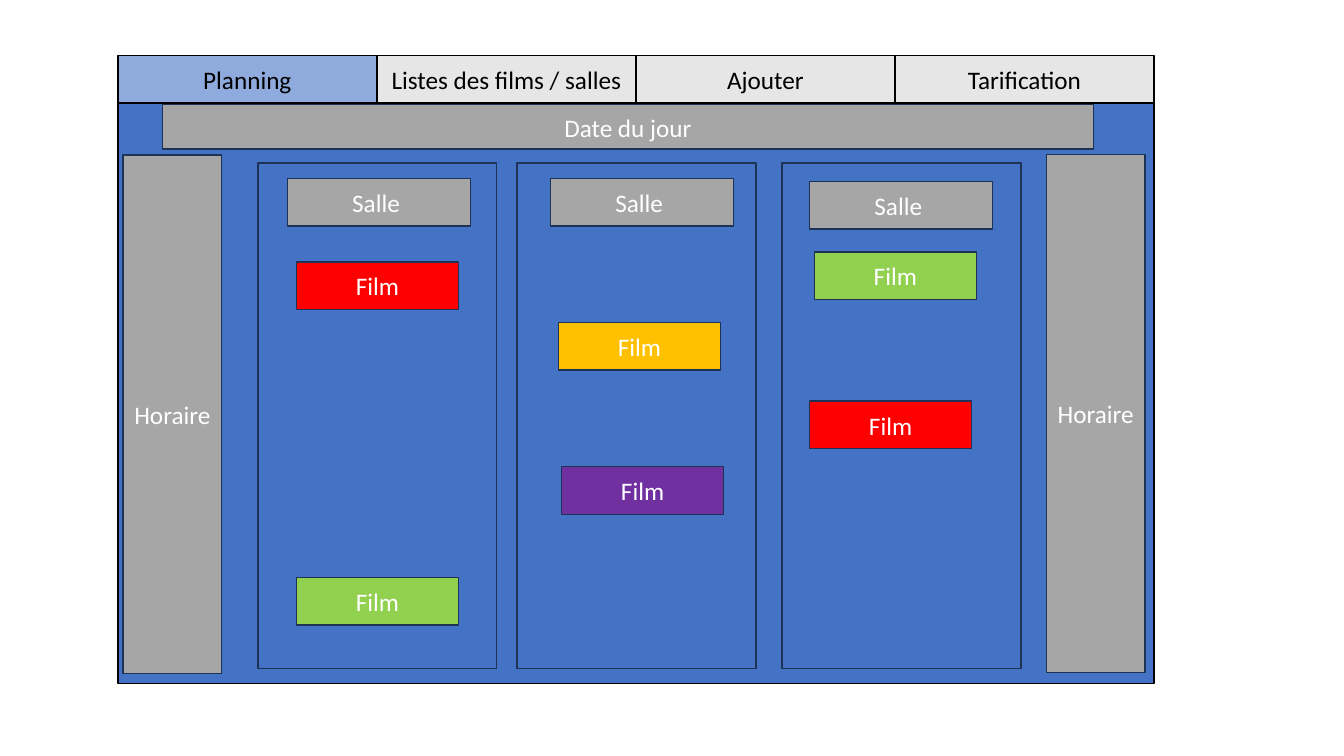
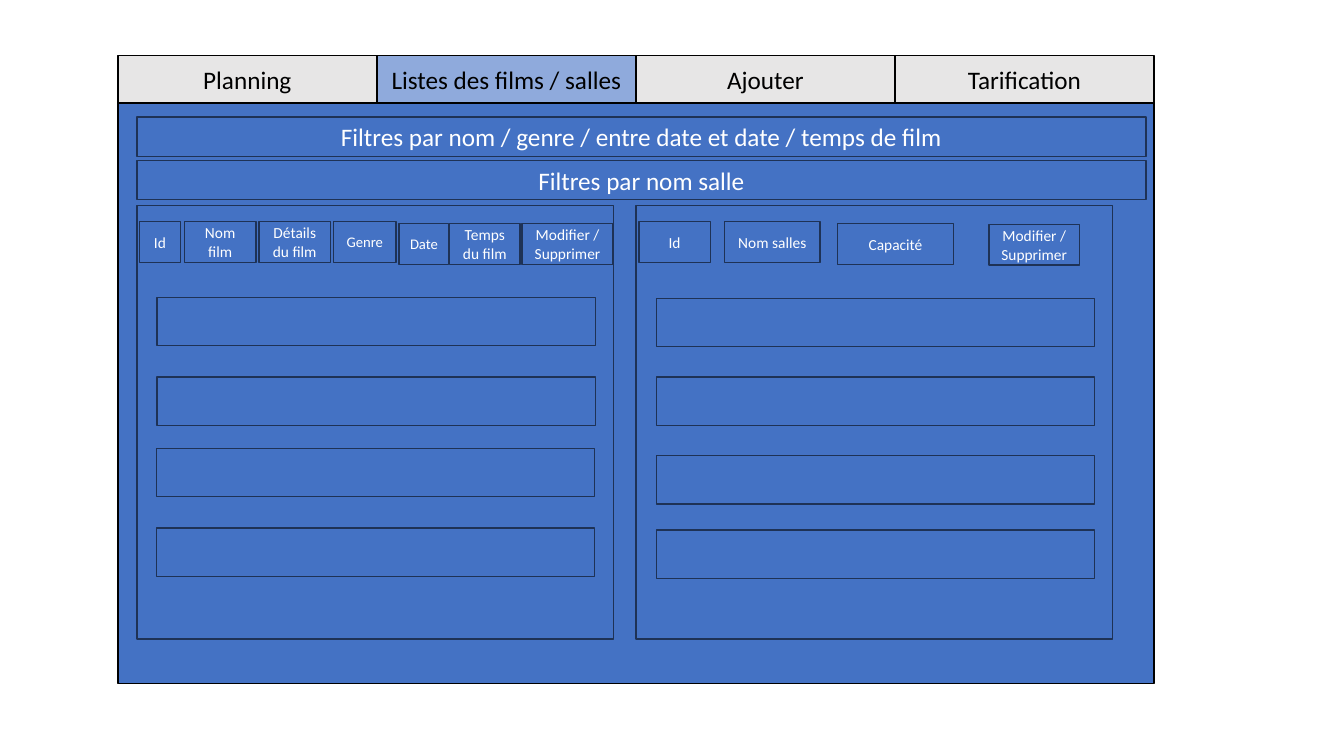
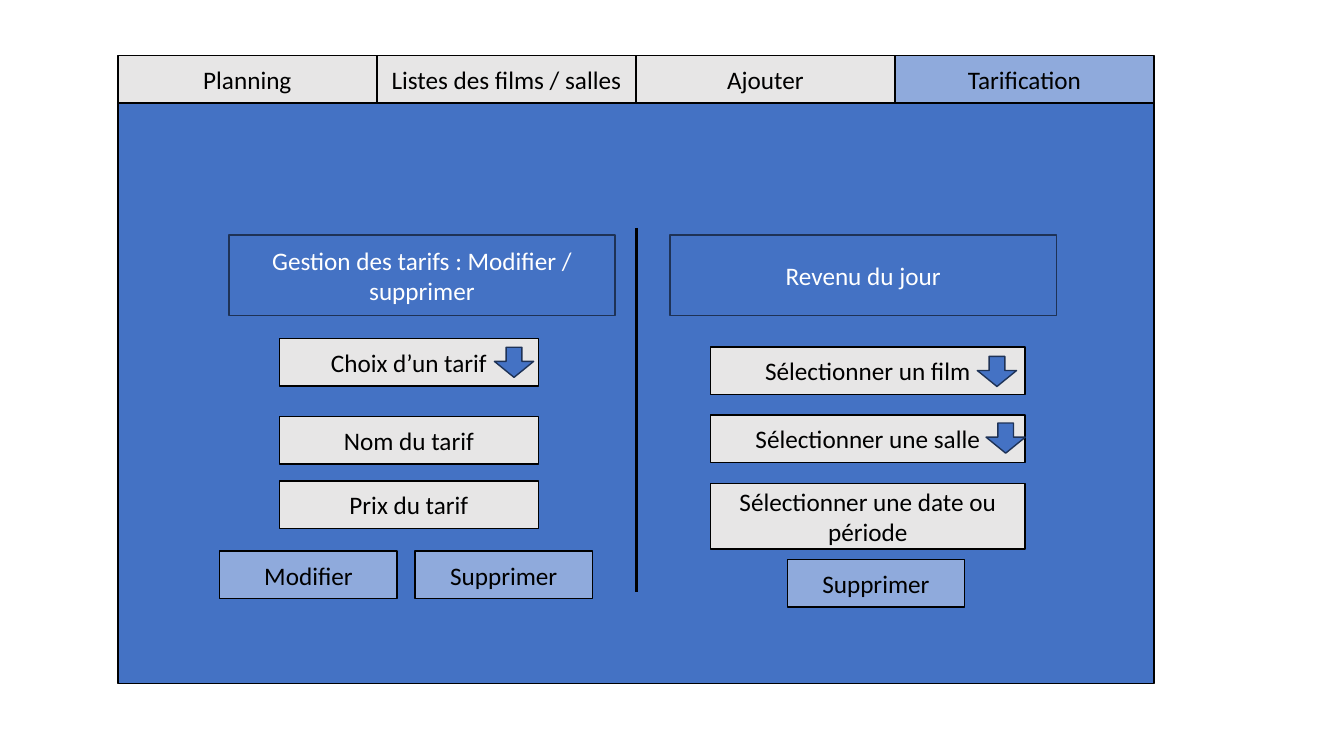
import pptx
import pptx.dml.color
import pptx.enum.shapes
import pptx.enum.text
import pptx.oxml.ns
import pptx.util
from lxml import etree
from pptx.util import Cm

COLOURS = {
    "blue": "4472C4", "light blue": "8FAADC", "navy": "1E3256",
    "pale": "E7E6E6", "grey": "A6A6A6", "black": "000000", "white": "FFFFFF",
    "red": "FF0000", "green": "92D050", "amber": "FFC000", "purple": "7030A0",
}
TABS = ["Planning", "Listes des films / salles", "Ajouter", "Tarification"]
FRAME_LEFT, FRAME_TOP, FRAME_WIDTH, FRAME_HEIGHT = 2.97, 2.6, 26.11, 14.63
TAB_TOP, BAR_HEIGHT = 1.4, 1.2
RECTANGLE = pptx.enum.shapes.MSO_SHAPE.RECTANGLE
DOWN_ARROW = pptx.enum.shapes.MSO_SHAPE.DOWN_ARROW


def colour(name):
    return pptx.dml.color.RGBColor.from_string(COLOURS[name])


def add_box(slide, left, top, width, height, text="", fill="blue", line="navy",
            size=18, kind=RECTANGLE):
    """Black-edged boxes carry black text, navy-edged ones white text."""
    shape = slide.shapes.add_shape(kind, Cm(left), Cm(top), Cm(width), Cm(height))
    shape.shadow.inherit = False
    shape.fill.solid()
    shape.fill.fore_color.rgb = colour(fill)
    shape.line.color.rgb = colour(line)
    shape.line.width = pptx.util.Pt(1)
    if text:
        frame = shape.text_frame
        frame.word_wrap = True
        frame.vertical_anchor = pptx.enum.text.MSO_ANCHOR.MIDDLE
        paragraph = frame.paragraphs[0]
        paragraph.text = text
        paragraph.alignment = pptx.enum.text.PP_ALIGN.CENTER
        paragraph.font.name = "Calibri"
        paragraph.font.size = pptx.util.Pt(size)
        paragraph.font.color.rgb = colour("black" if line == "black" else "white")
    return shape


presentation = pptx.Presentation()
presentation.slide_width = Cm(33.87)
presentation.slide_height = Cm(19.05)

# Shared window: frame and tabs, with the current tab highlighted
slides = {}
for current in ["Planning", "Listes des films / salles", "Tarification"]:
    slide = presentation.slides.add_slide(presentation.slide_layouts[6])
    slides[current] = slide
    add_box(slide, FRAME_LEFT, FRAME_TOP, FRAME_WIDTH, FRAME_HEIGHT, line="black")
    tab_width = FRAME_WIDTH / len(TABS)
    for index, tab in enumerate(TABS):
        add_box(slide, FRAME_LEFT + index * tab_width, TAB_TOP, tab_width, BAR_HEIGHT,
                tab, "light blue" if tab == current else "pale", "black")

# Planning: time columns and date bar
slide = slides["Planning"]
for left, top in [(3.1, 3.91), (26.37, 3.89)]:
    add_box(slide, left, top, 2.49, 13.06, "Horaire", "grey")
add_box(slide, 4.09, 2.64, 23.47, 1.12, "Date du jour", "grey")

# Planning: one column per room, then its films
for left in [6.5, 13.03, 19.71]:
    add_box(slide, left, 4.11, 6.02, 12.73)
for left, top in [(7.24, 4.5), (13.87, 4.5), (20.4, 4.57)]:
    add_box(slide, left, top, 4.62, BAR_HEIGHT, "Salle ", "grey")
films = [
    (7.47, 6.6, "red"), (7.47, 14.55, "green"),
    (14.07, 8.13, "amber"), (14.15, 11.76, "purple"),
    (20.4, 10.11, "red"), (20.52, 6.35, "green"),
]
for left, top, fill in films:
    add_box(slide, left, top, 4.09, BAR_HEIGHT, "Film", fill)

# Lists: filters and the two panels
slide = slides["Listes des films / salles"]
filters = ["Filtres par nom / genre / entre date et date / temps de film",
           "Filtres par nom salle"]
for index, text in enumerate(filters):
    add_box(slide, 3.45, 2.95 + index * 1.09, 25.43, 0.99, text)
for left in [3.45, 16.03]:
    add_box(slide, left, 5.18, 12.01, 10.92)

# Lists: column headings of films, then of rooms
headings = [
    ("Id", 3.51, 5.59, 1.04, 11),
    ("Nom film", 4.65, 5.59, 1.8, 11),
    ("Détails du film", 6.53, 5.59, 1.8, 11),
    ("Genre", 8.41, 5.59, 1.57, 10.5),
    ("Date", 10.06, 5.64, 1.25, 10.5),
    ("Temps du film", 11.33, 5.64, 1.78, 11),
    ("Modifier / Supprimer", 13.16, 5.64, 2.29, 11),
    ("Id", 16.1, 5.59, 1.8, 11),
    ("Nom salles", 18.26, 5.59, 2.41, 11),
    ("Capacité", 21.11, 5.64, 2.92, 11),
    ("Modifier / Supprimer", 24.92, 5.66, 2.29, 11),
]
for text, left, top, width, size in headings:
    add_box(slide, left, top, width, 1.02, text, size=size)

# Lists: empty rows
rows = [
    (3.96, 7.49), (3.96, 9.5), (3.94, 11.3), (3.94, 13.31),
    (16.54, 7.52), (16.54, 9.5), (16.54, 11.48), (16.54, 13.36),
]
for left, top in rows:
    add_box(slide, left, top, 11.05, 1.22)

# Pricing: headings and divider
slide = slides["Tarification"]
for left, text in [(5.77, "Gestion des tarifs : Modifier / supprimer"),
                   (16.89, "Revenu du jour")]:
    add_box(slide, left, 5.92, 9.73, 2.03, text)
divider = slide.shapes.add_connector(
    pptx.enum.shapes.MSO_CONNECTOR.STRAIGHT, Cm(16.05), Cm(5.74), Cm(16.05), Cm(14.91))
divider.line.color.rgb = colour("black")
divider.line.width = pptx.util.Pt(2.25)
etree.SubElement(divider._element.spPr, pptx.oxml.ns.qn("a:effectLst"))

# Pricing: fields and buttons
controls = [
    ("Choix d’un tarif", 7.04, 8.53, 6.53, BAR_HEIGHT, "pale"),
    ("Nom du tarif", 7.04, 10.49, 6.53, BAR_HEIGHT, "pale"),
    ("Prix du tarif", 7.04, 12.12, 6.53, BAR_HEIGHT, "pale"),
    ("Modifier", 5.54, 13.89, 4.47, BAR_HEIGHT, "light blue"),
    ("Supprimer", 10.46, 13.89, 4.47, BAR_HEIGHT, "light blue"),
    ("Sélectionner un film", 17.91, 8.74, 7.92, BAR_HEIGHT, "pale"),
    ("Sélectionner une salle", 17.91, 10.46, 7.92, BAR_HEIGHT, "pale"),
    ("Sélectionner une date ou période", 17.91, 12.19, 7.92, 1.65, "pale"),
    ("Supprimer", 19.84, 14.1, 4.47, BAR_HEIGHT, "light blue"),
]
for text, left, top, width, height, fill in controls:
    add_box(slide, left, top, width, height, text, fill, "black")

# Pricing: drop-down arrows
for left, top in [(12.46, 8.75), (24.63, 8.98), (24.85, 10.66)]:
    arrow = add_box(slide, left, top, 0.99, 0.76, kind=DOWN_ARROW)
    arrow.adjustments[0] = 0.4
    arrow.adjustments[1] = 0.53

presentation.save("out.pptx")
